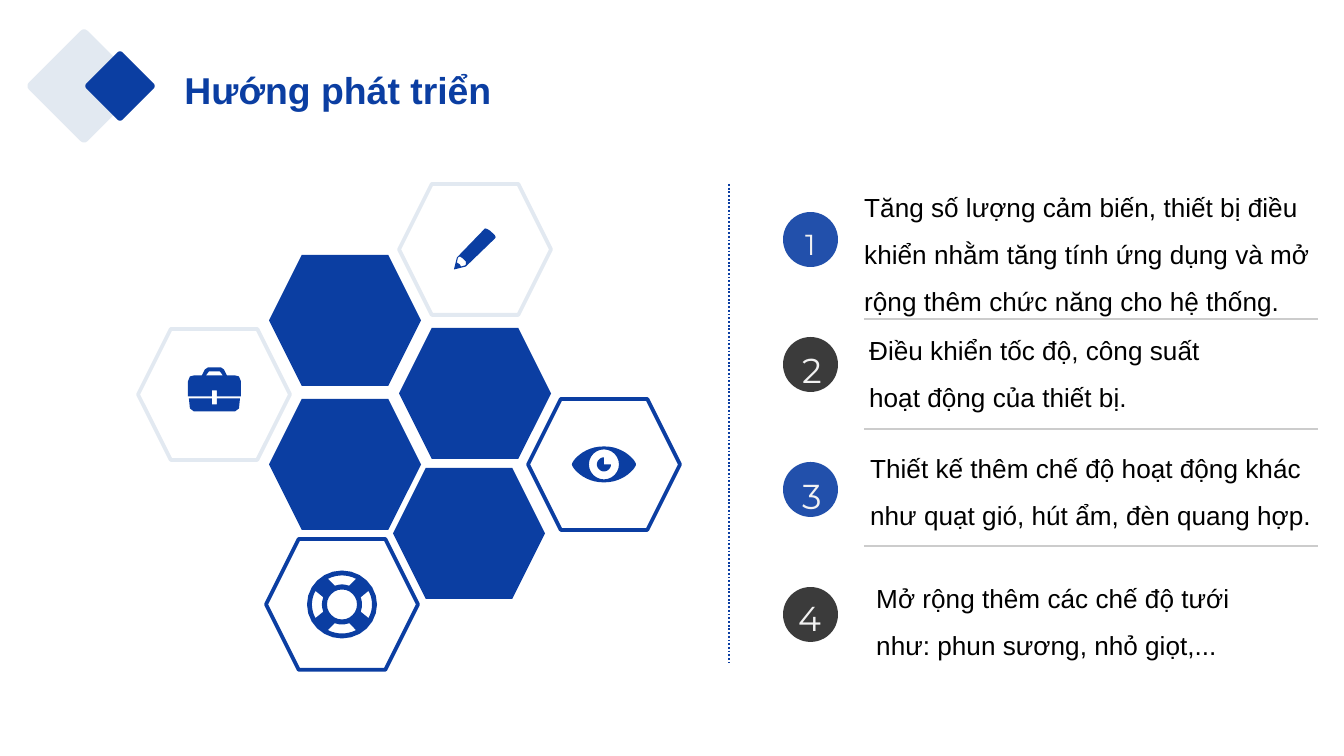
from math import cos, radians, sin

from lxml.etree import SubElement
from pptx import Presentation
from pptx.dml.color import RGBColor
from pptx.enum.dml import MSO_LINE
from pptx.enum.shapes import MSO_CONNECTOR, MSO_SHAPE
from pptx.enum.text import MSO_ANCHOR, PP_ALIGN
from pptx.oxml.ns import qn
from pptx.util import Pt

PX = 914400 / 134.4
FINE = 10  # outline units in one px
COLORS = {"blue": "0B3EA2", "pale": "E2E9F1", "dark": "262626", "white": "FFFFFF",
          "digit": "F2F2F2", "rule": "CCCCCC", "black": "000000"}
HEX_W, HEX_H = 152, 131


def px(*lengths):
    return [round(length * PX) for length in lengths]


def color(name):
    return RGBColor.from_string(COLORS[name])


def paint(shape, fill=None, alpha=None, line=None):
    shape.shadow.inherit = False
    if fill:
        shape.fill.solid()
        shape.fill.fore_color.rgb = color(fill)
        if alpha:
            tint = shape.fill._xPr.find(qn("a:solidFill"))[0]
            SubElement(tint, qn("a:alpha")).set("val", str(alpha * 1000))
    else:
        shape.fill.background()
    if line:
        shape.line.color.rgb = color(line)
        shape.line.width = Pt(2)
    else:
        shape.line.fill.background()


def add_preset(page, kind, box, **look):
    shape = page.shapes.add_shape(kind, *px(*box))
    paint(shape, **look)
    return shape


def add_rule(page, start, end, tone, width, dash=None):
    rule = page.shapes.add_connector(MSO_CONNECTOR.STRAIGHT, *px(*start, *end))
    rule.line.color.rgb = color(tone)
    rule.line.width = Pt(width)
    if dash:
        rule.line.dash_style = dash
    SubElement(rule._element.spPr, qn("a:effectLst"))


def write(para, text, size, tone, font="Arial", bold=False):
    span = para.add_run()
    span.text = text
    span.font.name, span.font.size, span.font.bold = font, Pt(size), bold
    span.font.color.rgb = color(tone)


# Outlines, in px around the centre of an icon
def arc(rx, ry, start, end, steps=24):
    angles = [radians(start + (end - start) * i / steps) for i in range(steps + 1)]
    return [(rx * cos(a), ry * sin(a)) for a in angles]


def bezier(a, b, c, d, steps=12):
    return [tuple((1 - t) ** 3 * a[k] + 3 * t * (1 - t) ** 2 * b[k]
                  + 3 * t * t * (1 - t) * c[k] + t ** 3 * d[k] for k in (0, 1))
            for t in (i / steps for i in range(steps + 1))]


def briefcase():
    body = [(-26, 2), (-26, -13), (-24, -18), (-20, -19), (-12, -19), (-9, -25),
            (-6, -27), (7, -27), (10, -25), (13, -19), (21, -19), (25, -18),
            (27, -13), (27, 2), (3, 2), (3, -4), (-2, -4), (-2, 2)]
    handle = [(-8, -19), (-5, -23), (6, -23), (9, -19)]
    base = [(-25, 4), (-2, 4), (-2, 10), (3, 10), (3, 4), (26, 4), (25, 14),
            (21, 17), (-20, 17), (-24, 14)]
    return [body, handle, base]


def pencil():
    tip_end = bezier((20, -11), (21, -12), (21, -14), (17, -17))
    top = bezier((17, -17), (13, -21), (10, -21), (10, -21))
    wood = [(-10, 16), (-14, 17), (-15, 15), (-18, 13), (-17, 8), (-15, 7),
            (-12, 9), (-9, 12), (-9, 15)]
    return [tip_end + top + [(-18, 8), (-21, 20), (-9, 17)], wood]


def eye():
    quarter = bezier((0, -18), (-21, -18), (-32, -3), (-32, 0))
    left = quarter + [(x, -y) for x, y in reversed(quarter)]
    lid = left + [(-x, y) for x, y in reversed(left)]
    return [lid, arc(15, 15, 0, 360), arc(7, 7, 0, 270) + [(0, 0)]]


def lifebuoy():
    slots = [arc(30, 29, mid - 28, mid + 28) + arc(20, 20, mid + 21, mid - 21)
             for mid in (0, 90, 180, 270)]
    return [arc(35, 34, 0, 360), arc(15, 15, 0, 360)] + slots


def add_icon(page, center, contours):
    fine = [[(x * FINE, y * FINE) for x, y in contour] for contour in contours]
    builder = page.shapes.build_freeform(*fine[0][0], scale=PX / FINE)
    for index, contour in enumerate(fine):
        if index:
            builder.move_to(*contour[0])
        builder.add_line_segments(contour[1:], close=True)
    paint(builder.convert_to_shape(*px(*center)), fill="blue")


# Heading: two rounded diamonds and the title
def build_heading(page, left, top):
    for x, side, tone in ((57, 83, "pale"), (93, 51, "blue")):
        box = (left + x - side / 2, top + 57 - side / 2, side, side)
        diamond = add_preset(page, MSO_SHAPE.ROUNDED_RECTANGLE, box, fill=tone)
        diamond.adjustments[0] = 0.06
        diamond.rotation = 45
    title = page.shapes.title
    title.left, title.top, title.width, title.height = px(left + 144, top + 31, 672, 59)
    frame = title.text_frame
    frame.vertical_anchor = MSO_ANCHOR.MIDDLE
    para = frame.paragraphs[0]
    para.alignment = PP_ALIGN.LEFT
    write(para, "Hướng phát triển", 20, "blue", bold=True)


# Honeycomb: four solid cells and four outlined cells with icons
def build_honeycomb(page, left, top):
    for x, y in ((131, 71), (261, 144), (131, 215), (255, 284)):
        add_preset(page, MSO_SHAPE.HEXAGON, (left + x, top + y, HEX_W, HEX_H), fill="blue")
    cells = [(0, 145, "pale", "white", briefcase()), (261, 0, "pale", "white", pencil()),
             (390, 215, "blue", "white", eye()), (128, 355, "blue", None, lifebuoy())]
    for x, y, line, fill, contours in cells:
        box = (left + x, top + y, HEX_W, HEX_H)
        add_preset(page, MSO_SHAPE.HEXAGON, box, fill=fill, alpha=90, line=line)
        add_icon(page, (box[0] + HEX_W / 2, box[1] + HEX_H / 2), contours)


# One numbered row: disc, digit and sentence
def build_row(page, left, top, number, tone, digit, size, text_box, text):
    add_preset(page, MSO_SHAPE.OVAL, (left, top, 55, 55), fill=tone, alpha=90)
    for box, wrap in ((digit, False), (text_box, True)):
        x, y, width, height = box
        frame = page.shapes.add_textbox(*px(left + x, top + y, width, height)).text_frame
        frame.word_wrap = wrap
        para = frame.paragraphs[0]
        if wrap:
            para.line_spacing = 1.5
            write(para, text, 14, "black")
        else:
            para.alignment = PP_ALIGN.CENTER
            write(para, number, size, "digit", font="Montserrat")


def build_list(page, left, top):
    rows = [
        ("blue", (9, 8, 36, 44), 15.5, (68, -43, 477, 151),
         "Tăng số lượng cảm biến, thiết bị điều khiển nhằm tăng tính ứng dụng và mở "
         "rộng thêm chức năng cho hệ thống."),
        ("dark", (6, 5, 44, 51), 18.5, (73, -25, 376, 102),
         "Điều khiển tốc độ, công suất hoạt động của thiết bị."),
        ("blue", (6, 6, 44, 51), 18.5, (74, -32, 470, 102),
         "Thiết kế thêm chế độ hoạt động khác như quạt gió, hút ẩm, đèn quang hợp."),
        ("dark", (2, 3, 44, 51), 18.5, (80, -27, 413, 102),
         "Mở rộng thêm các chế độ tưới như: phun sương, nhỏ giọt,..."),
    ]
    for index, row in enumerate(rows):
        build_row(page, left, top + 125 * index, str(index + 1), *row)
    for y in (107, 217, 334):
        add_rule(page, (left + 81, top + y), (left + 535, top + y), "rule", 0.75)


def main():
    deck = Presentation()
    deck.slide_width, deck.slide_height = px(1344, 756)
    page = deck.slides.add_slide(deck.slide_layouts[5])
    build_heading(page, 27, 29)
    build_honeycomb(page, 138, 184)
    add_rule(page, (729, 184), (729, 663), "blue", 1, MSO_LINE.ROUND_DOT)
    build_list(page, 783, 212)
    deck.save("out.pptx")


if __name__ == "__main__":
    main()
